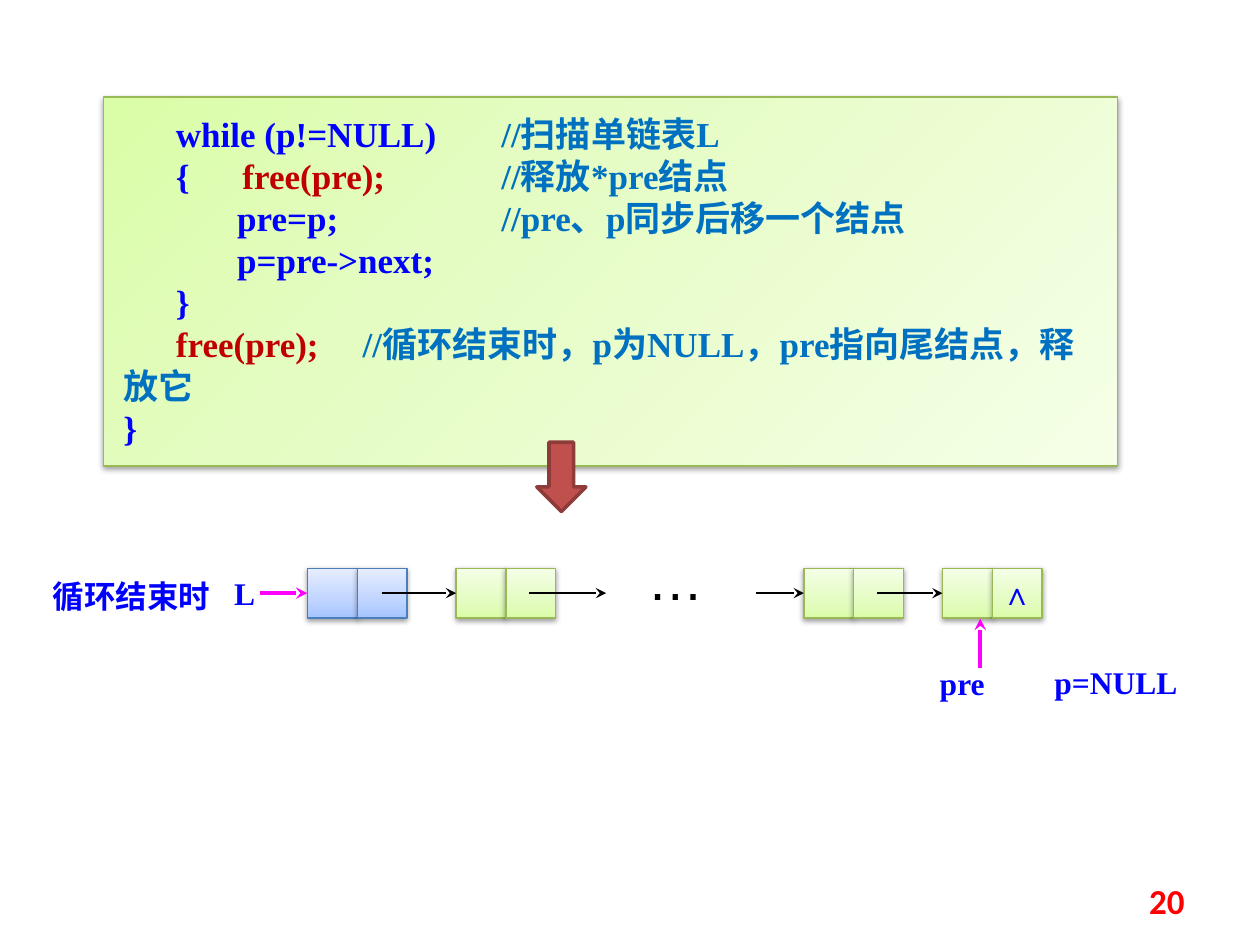
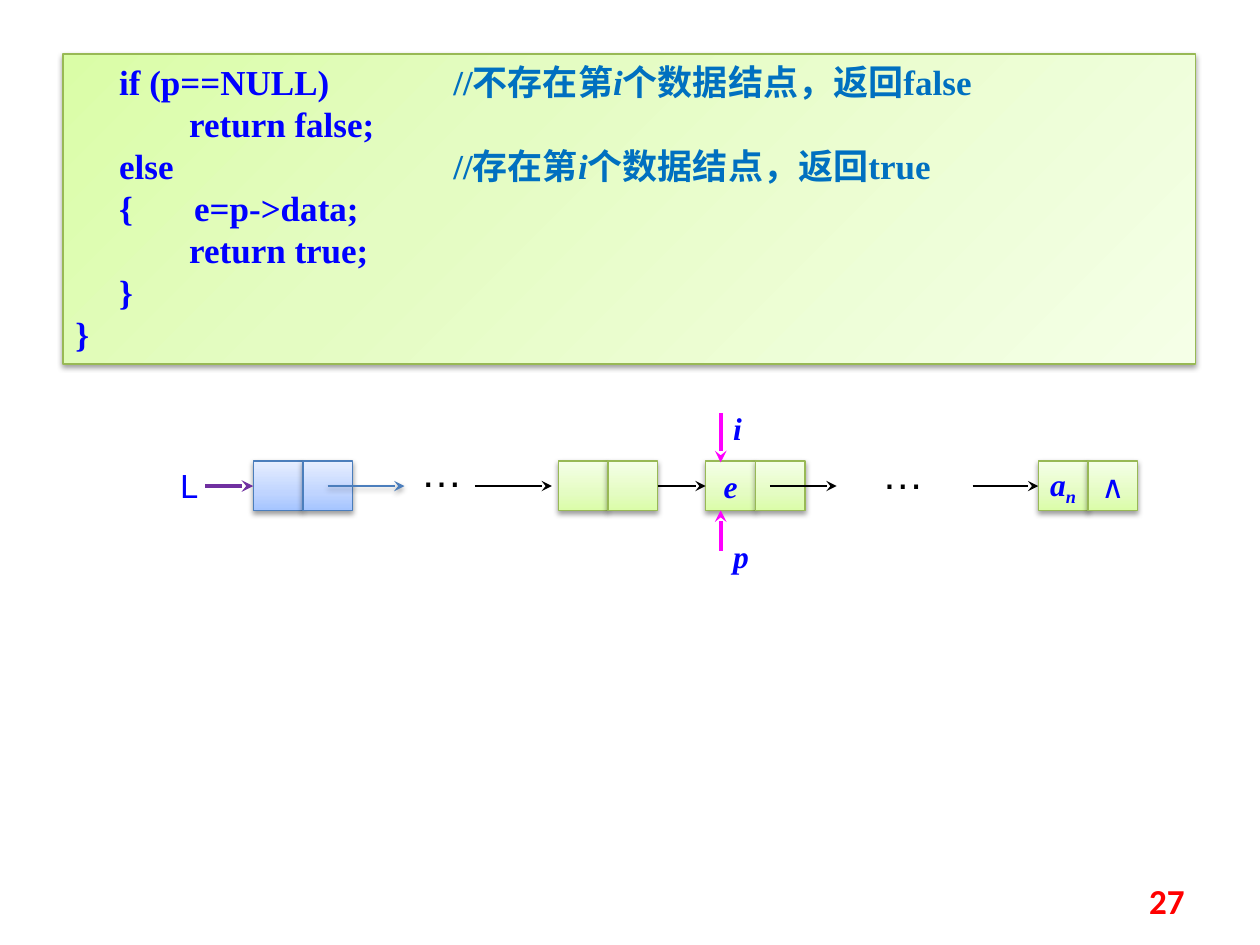
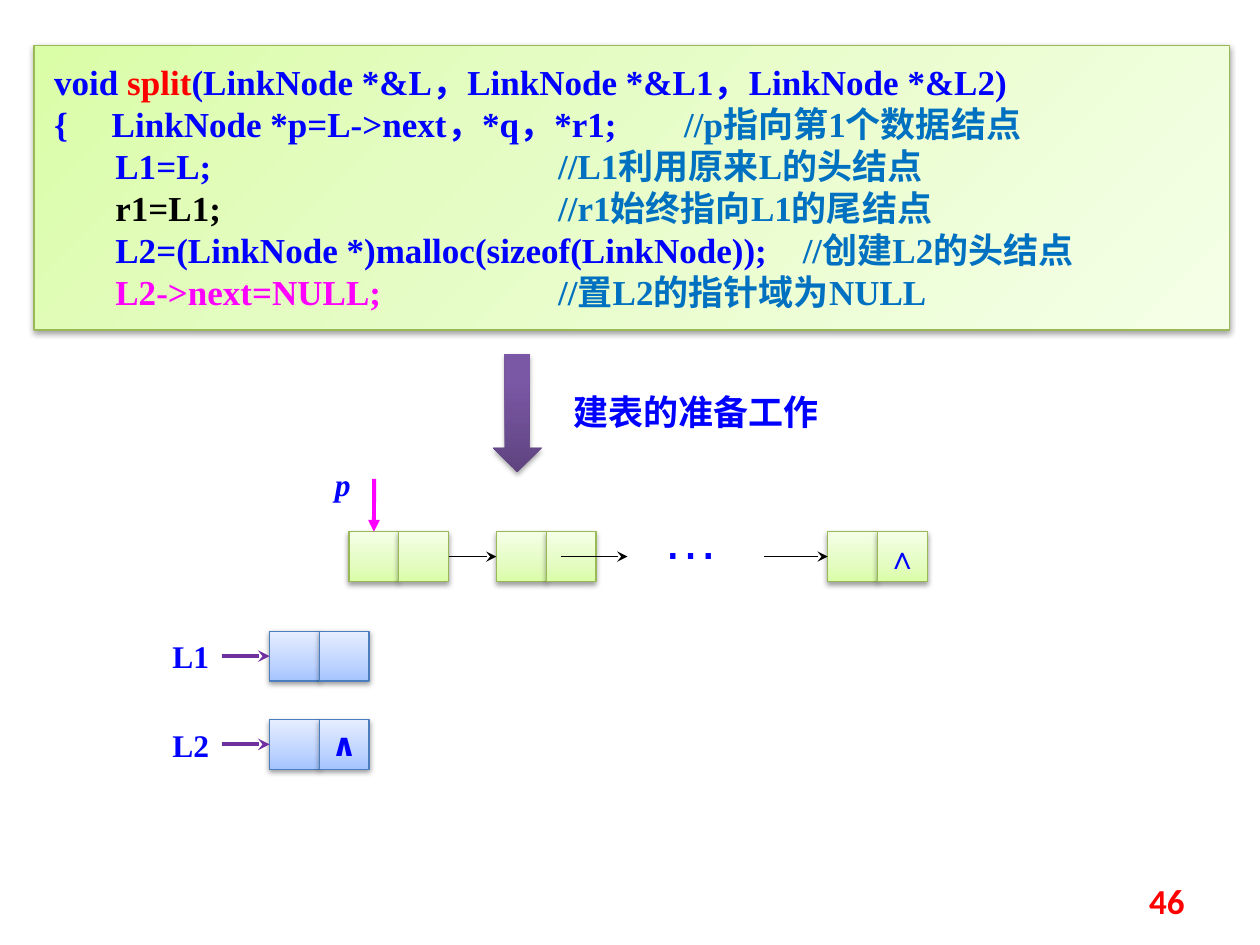
from dataclasses import dataclass
from typing import Any, NamedTuple, Optional

import lxml.etree
import pptx
import pptx.dml.color
import pptx.enum.shapes
import pptx.enum.text
import pptx.oxml.ns
import pptx.util

Inches = pptx.util.Inches
Pt = pptx.util.Pt
RGBColor = pptx.dml.color.RGBColor
qn = pptx.oxml.ns.qn
Shapes = pptx.enum.shapes.MSO_SHAPE
Anchor = pptx.enum.text.MSO_ANCHOR
Align = pptx.enum.text.PP_ALIGN
AutoSize = pptx.enum.text.MSO_AUTO_SIZE

BLACK = RGBColor(0x00, 0x00, 0x00)
BLUE = RGBColor(0x00, 0x00, 0xFF)
COMMENT = RGBColor(0x00, 0x70, 0xC0)
DARK_RED = RGBColor(0xC0, 0x00, 0x00)
RED = RGBColor(0xFF, 0x00, 0x00)
MAGENTA = RGBColor(0xFF, 0x00, 0xFF)
PURPLE = RGBColor(0x70, 0x30, 0xA0)
BRICK = RGBColor(0xC0, 0x50, 0x4D)
BRICK_LINE = RGBColor(0x8E, 0x3B, 0x39)
HEAD_LINE = RGBColor(0x4B, 0x7E, 0xBC)
DATA_LINE = RGBColor(0x98, 0xB9, 0x55)

SERIF = "Times New Roman"
SANS = "DejaVu Sans"
CJK = "Noto Sans CJK SC"
NODE_WIDTH = 0.79
CELL = NODE_WIDTH / 2
THIN = 0.75
THICK = 2.25
TAB_STOPS = range(1, 6)


class Stop(NamedTuple):
    percent: int
    color: RGBColor


class Palette(NamedTuple):
    stops: tuple[Stop, ...]
    line: Optional[RGBColor]


HEAD = Palette((Stop(0, RGBColor(0xA4, 0xC4, 0xFF)), Stop(35, RGBColor(0xBF, 0xD4, 0xFF)),
                Stop(100, RGBColor(0xE6, 0xEE, 0xFF))), HEAD_LINE)
DATA = Palette((Stop(0, RGBColor(0xDA, 0xFD, 0xA7)), Stop(35, RGBColor(0xE4, 0xFC, 0xC2)),
                Stop(100, RGBColor(0xF5, 0xFF, 0xE7))), DATA_LINE)
VIOLET = Palette((Stop(0, RGBColor(0x5F, 0x44, 0x80)), Stop(80, RGBColor(0x7B, 0x58, 0xA6)),
                  Stop(100, RGBColor(0x7C, 0x57, 0xA8))), None)


@dataclass(frozen=True)
class Piece:
    """A stretch of text in one format."""
    text: str
    color: RGBColor = BLUE
    size: int = 18
    font: str = SERIF
    bold: bool = True
    italic: bool = False
    subscript: bool = False


@dataclass(frozen=True)
class Label:
    left: float
    top: float
    width: float
    piece: Piece


@dataclass(frozen=True)
class Node:
    left: float
    palette: Palette = DATA
    data: tuple[Piece, ...] = ()
    pointer: tuple[Piece, ...] = ()


@dataclass(frozen=True)
class Arrow:
    start: tuple[float, float]
    end: tuple[float, float]
    color: RGBColor = BLACK
    width: float = THIN
    head: str = "stealth"
    shadow: bool = False


@dataclass(frozen=True)
class Link:
    """A horizontal arrow; begin and end are the indexes of the nodes it joins."""
    x0: float
    x1: float
    color: RGBColor = BLACK
    width: float = THIN
    begin: Optional[int] = None
    end: Optional[int] = None
    shadow: bool = False


@dataclass(frozen=True)
class Chain:
    top: float
    nodes: tuple[Node, ...]
    links: tuple[Link, ...]


@dataclass(frozen=True)
class CodeBox:
    left: float
    top: float
    width: float
    height: float
    lines: tuple[tuple[Piece, ...], ...]
    inset: tuple[float, float] = (0.1, 0.05)


def code(text: str, color: RGBColor = BLUE) -> Piece:
    return Piece(text, color, size=20)


def note(text: str, italic: bool = False) -> Piece:
    return Piece(text, COMMENT, size=20, italic=italic)


def var(text: str, subscript: bool = False) -> Piece:
    return Piece(text, italic=True, subscript=subscript)


def dots(size: int, color: RGBColor = BLACK) -> Piece:
    return Piece("…", color, size, "Arial", bold=False)


def add_piece(p: Any, piece: Piece) -> None:
    r = p.add_run()
    r.text = piece.text
    font = r.font
    font.name, font.size = piece.font, Pt(piece.size)
    font.bold, font.italic = piece.bold, piece.italic
    font.color.rgb = piece.color
    r_pr = font._element
    if piece.subscript:
        r_pr.set("baseline", "-25000")
    latin = r_pr.find(qn("a:latin"))
    east_asian = lxml.etree.Element(qn("a:ea"), typeface=CJK)
    latin.addnext(east_asian)


def set_code_layout(p: Any) -> None:
    """Left-aligned, a tab stop every inch, no punctuation past the margin."""
    p.alignment = Align.LEFT
    p_pr = p._p.get_or_add_pPr()
    p_pr.set("hangingPunct", "0")
    tabs = lxml.etree.SubElement(p_pr, qn("a:tabLst"))
    for stop in TAB_STOPS:
        lxml.etree.SubElement(tabs, qn("a:tab"), pos=str(Inches(stop)), algn="l")


def set_shadow(s: Any, alpha: int = 38, distance: float = 1.6) -> None:
    effects = s._element.spPr.find(qn("a:effectLst"))
    outer = lxml.etree.SubElement(
        effects, qn("a:outerShdw"), blurRad=str(Pt(3.1)), dist=str(Pt(distance)),
        dir="5400000", rotWithShape="0")
    color = lxml.etree.SubElement(outer, qn("a:srgbClr"), val=str(BLACK))
    lxml.etree.SubElement(color, qn("a:alpha"), val=str(alpha * 1000))


def set_palette(s: Any, palette: Palette, angle: int = 90) -> None:
    """Gradient fill (angle counter-clockwise from the left) and thin outline."""
    s.fill.gradient()
    s.fill.gradient_angle = angle
    stops = s._element.spPr.find(qn("a:gradFill")).find(qn("a:gsLst"))
    for old in list(stops):
        stops.remove(old)
    for stop in palette.stops:
        gs = lxml.etree.SubElement(stops, qn("a:gs"), pos=str(stop.percent * 1000))
        lxml.etree.SubElement(gs, qn("a:srgbClr"), val=str(stop.color))
    if palette.line is None:
        s.line.fill.background()
    else:
        s.line.color.rgb = palette.line
        s.line.width = Pt(THIN)


def add_box(slide: Any, kind: Any, left: float, top: float, width: float, height: float) -> Any:
    s = slide.shapes.add_shape(kind, Inches(left), Inches(top), Inches(width), Inches(height))
    s.shadow.inherit = False
    return s


def add_code(slide: Any, box: CodeBox) -> None:
    s = add_box(slide, Shapes.RECTANGLE, box.left, box.top, box.width, box.height)
    set_palette(s, DATA, angle=315)
    set_shadow(s)
    tf = s.text_frame
    tf.word_wrap = True
    tf.auto_size = AutoSize.SHAPE_TO_FIT_TEXT
    tf.vertical_anchor = Anchor.TOP
    tf.margin_left = tf.margin_right = Inches(box.inset[0])
    tf.margin_top = tf.margin_bottom = Inches(box.inset[1])
    for i, line in enumerate(box.lines):
        p = tf.add_paragraph() if i else tf.paragraphs[0]
        set_code_layout(p)
        for piece in line:
            add_piece(p, piece)


def add_label(slide: Any, label: Label) -> Any:
    """One line of text; the box is as high as the line needs."""
    height = label.piece.size / 60 + 0.1
    s = slide.shapes.add_textbox(Inches(label.left), Inches(label.top),
                                 Inches(label.width), Inches(height))
    s.text_frame.word_wrap = True
    add_piece(s.text_frame.paragraphs[0], label.piece)
    return s


def add_arrow(slide: Any, arrow: Arrow) -> Any:
    line = slide.shapes.add_connector(
        pptx.enum.shapes.MSO_CONNECTOR.STRAIGHT,
        *(Inches(v) for v in arrow.start + arrow.end))
    line.line.color.rgb = arrow.color
    line.line.width = Pt(arrow.width)
    sp_pr = line._element.spPr
    lxml.etree.SubElement(sp_pr.find(qn("a:ln")), qn("a:tailEnd"), type=arrow.head)
    lxml.etree.SubElement(sp_pr, qn("a:effectLst"))
    if arrow.shadow:
        set_shadow(line)
    return line


def add_node(slide: Any, node: Node, top: float) -> list[Any]:
    """Data cell and pointer cell, side by side."""
    cells = []
    for i, pieces in enumerate((node.data, node.pointer)):
        s = add_box(slide, Shapes.RECTANGLE, node.left + i * CELL, top, CELL, CELL)
        set_palette(s, node.palette)
        set_shadow(s)
        tf = s.text_frame
        tf.word_wrap = False
        tf.vertical_anchor = Anchor.MIDDLE
        tf.paragraphs[0].alignment = Align.CENTER
        for piece in pieces:
            add_piece(tf.paragraphs[0], piece)
        cells.append(s)
    return cells


def add_chain(slide: Any, chain: Chain) -> list[list[Any]]:
    nodes = [add_node(slide, node, chain.top) for node in chain.nodes]
    y = chain.top + CELL / 2
    for link in chain.links:
        line = add_arrow(slide, Arrow((link.x0, y), (link.x1, y), link.color, link.width,
                                      shadow=link.shadow))
        if link.begin is not None:
            line.begin_connect(nodes[link.begin][1], 3)
        if link.end is not None:
            line.end_connect(nodes[link.end][0], 1)
    return nodes


def add_slide(prs: Any, number: int, box: CodeBox) -> Any:
    slide = prs.slides.add_slide(prs.slide_layouts[6])
    add_code(slide, box)
    s = add_label(slide, Label(7.17, 6.93, 2.33, Piece(str(number), RED, 20, "Calibri")))
    s.text_frame.vertical_anchor = Anchor.MIDDLE
    s.text_frame.paragraphs[0].alignment = Align.RIGHT
    return slide


NIL = (Piece("∧"),)


def build_destroy(prs: Any) -> None:
    slide = add_slide(prs, 20, CodeBox(0.82, 0.77, 8.05, 2.93, (
        (code("      while (p!=NULL)\t"), note("//扫描单链表L")),
        (code("      {      "), code("free(pre);\t", DARK_RED), note("//释放*pre结点")),
        (code("             pre=p;\t\t"), note("//pre、p同步后移一个结点")),
        (code("             p=pre->next;"),),
        (code("      }"),),
        (code("      free(pre);     ", DARK_RED),
         note("//循环结束时，p为NULL，pre指向尾结点，释放它")),
        (code("}"),),
    ), inset=(0.16, 0.12)))
    add_chain(slide, Chain(
        4.51,
        (Node(2.44, HEAD), Node(3.62), Node(6.38), Node(7.48, pointer=NIL)),
        (Link(2.06, 2.44, MAGENTA, THICK, end=0), Link(3.03, 3.62, end=1), Link(4.2, 4.81),
         Link(6, 6.38, end=2), Link(6.96, 7.48, end=3))))
    add_arrow(slide, Arrow((7.78, 5.3), (7.78, 4.91), MAGENTA, THICK))
    for label in (Label(0.32, 4.53, 1.65, Piece("循环结束时")),
                  Label(1.76, 4.51, 0.29, Piece("L")),
                  Label(7.36, 5.22, 0.69, Piece("pre")),
                  Label(8.27, 5.21, 1.49, Piece("p=NULL")),
                  Label(5.04, 4.27, 0.79, dots(32))):
        add_label(slide, label)
    down = add_box(slide, Shapes.DOWN_ARROW, 4.26, 3.51, 0.39, 0.55)
    down.fill.solid()
    down.fill.fore_color.rgb = BRICK
    down.line.color.rgb = BRICK_LINE
    down.line.width = Pt(2)


def build_get_element(prs: Any) -> None:
    slide = add_slide(prs, 27, CodeBox(0.5, 0.43, 8.99, 2.46, (
        (code("     if (p==NULL)\t"), note("//不存在第"), note("i", italic=True),
         note("个数据结点，返回false")),
        (code("             return false;"),),
        (code("     else\t\t\t"), note("//存在第"), note("i", italic=True),
         note("个数据结点，返回true")),
        (code("     {       e=p->data;"),),
        (code("             return true;"),),
        (code("     }"),),
        (code("}"),),
    )))
    add_chain(slide, Chain(
        3.66,
        (Node(2.01, HEAD), Node(4.43), Node(5.6, data=(var("e"),)),
         Node(8.24, data=(var("a"), var("n", subscript=True)),
              pointer=(Piece("∧", font=SANS, bold=False),))),
        (Link(1.63, 2.01, PURPLE, THICK, end=0), Link(2.6, 3.21, HEAD_LINE, shadow=True),
         Link(3.77, 4.38), Link(5.22, 5.6, begin=1, end=2), Link(6.11, 6.64),
         Link(7.72, 8.24, end=3))))
    for start, end in ((3.28, 3.67), (4.37, 4.05)):
        add_arrow(slide, Arrow((5.72, start), (5.72, end), MAGENTA, THICK))
    for label in (Label(1.33, 3.66, 0.29, Piece("L", font=SANS, bold=False)),
                  Label(3.24, 3.49, 0.79, dots(24)),
                  Label(6.9, 3.5, 0.79, dots(24)),
                  Label(5.72, 3.2, 0.39, var("i")),
                  Label(5.72, 4.21, 0.39, var("p"))):
        add_label(slide, label)


def build_split(prs: Any) -> None:
    slide = add_slide(prs, 46, CodeBox(0.27, 0.36, 9.49, 2.26, (
        (code("void "), code("split", RED), code("(LinkNode *&L，LinkNode *&L1，LinkNode *&L2)")),
        (code("{     LinkNode *p=L->next，*q，*r1;\t"), note("//p指向第1个数据结点")),
        (code("       L1=L;\t\t\t"), note("//L1利用原来L的头结点")),
        (code("       r1=L1;\t\t\t", BLACK), note("//r1始终指向L1的尾结点")),
        (code("       L2=(LinkNode *)malloc(sizeof(LinkNode));    "), note("//创建L2的头结点")),
        (code("       L2->next=NULL;\t\t", MAGENTA), note("//置L2的指针域为NULL")),
    ), inset=(0.16, 0.12)))
    data_nodes = add_chain(slide, Chain(
        4.22,
        (Node(2.77), Node(3.94), Node(6.57, pointer=NIL)),
        (Link(3.56, 3.94, begin=0, end=1), Link(4.45, 4.98), Link(6.06, 6.57, end=2))))
    for name, top, pointer in (("L1", 5.01, ()), ("L2", 5.71, (Piece("∧", font=SANS),))):
        add_chain(slide, Chain(top, (Node(2.14, HEAD, pointer=pointer),),
                               (Link(1.76, 2.14, PURPLE, THICK, end=0),)))
        add_label(slide, Label(1.27, top, 0.55, Piece(name)))
    p_arrow = add_arrow(slide, Arrow((2.97, 3.8), (2.97, 4.22), MAGENTA, THICK, "triangle"))
    p_arrow.end_connect(data_nodes[0][0], 0)
    for label in (Label(5.16, 3.95, 0.79, dots(32, BLUE)),
                  Label(2.56, 3.64, 0.39, var("p")),
                  Label(4.45, 3.05, 2.58, Piece("建表的准备工作", size=20, font=CJK))):
        add_label(slide, label)
    down = add_box(slide, Shapes.DOWN_ARROW, 3.91, 2.81, 0.39, 0.94)
    set_palette(down, VIOLET)
    set_shadow(down, alpha=35, distance=1.8)


def main() -> None:
    prs = pptx.Presentation()
    prs.slide_width, prs.slide_height = Inches(10), Inches(7.5)
    build_destroy(prs)
    build_get_element(prs)
    build_split(prs)
    prs.save("out.pptx")


if __name__ == "__main__":
    main()
